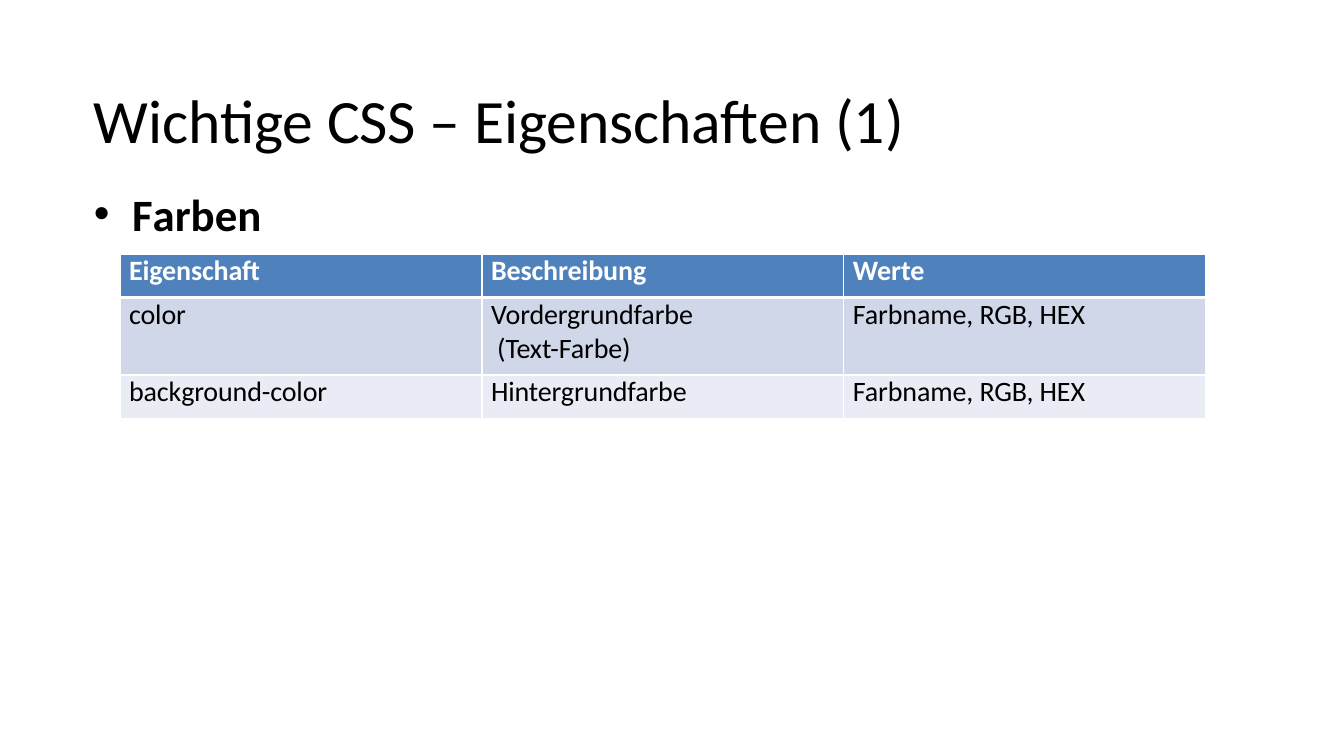
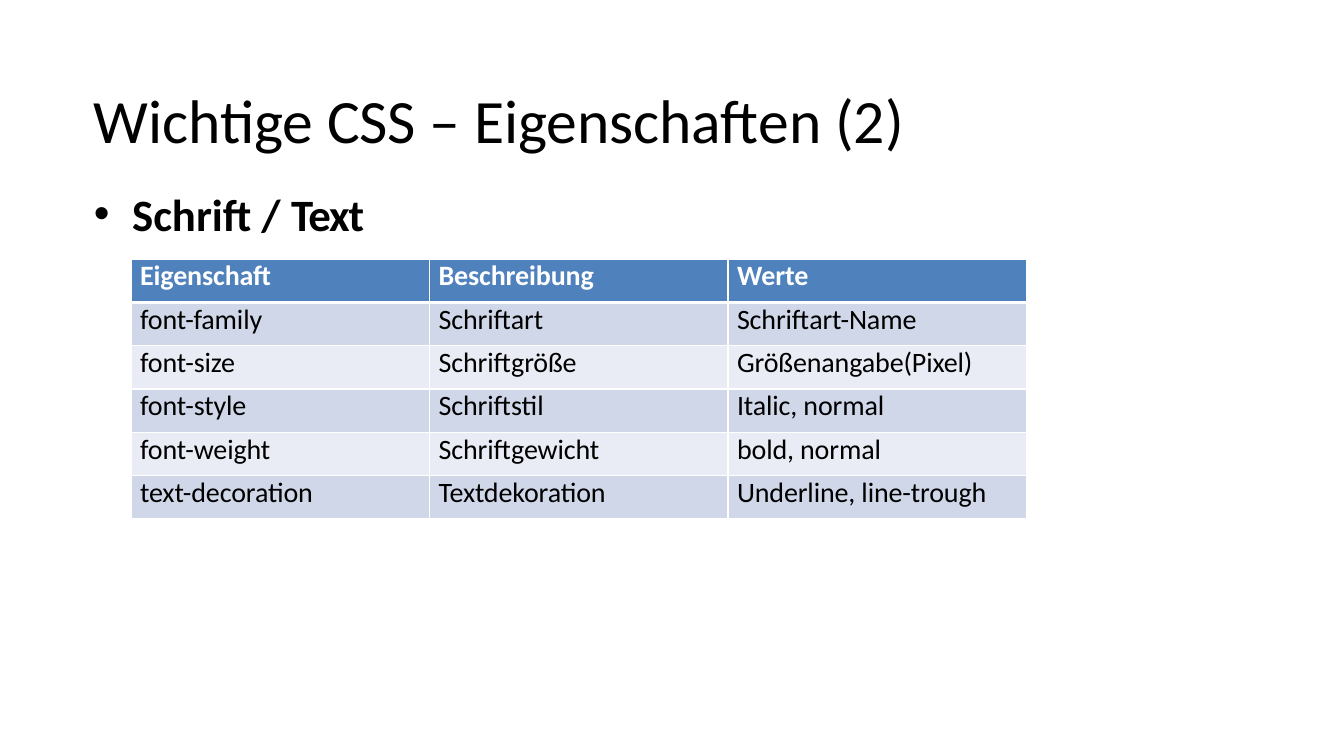
from dataclasses import dataclass

from lxml.etree import SubElement
from pptx import Presentation
from pptx.dml.color import RGBColor
from pptx.enum.text import MSO_ANCHOR as Anchor
from pptx.oxml.ns import qn
from pptx.util import Inches, Pt

# Shared look
FONT = "Calibri"
BLACK = RGBColor(0x00, 0x00, 0x00)
WHITE = RGBColor(0xFF, 0xFF, 0xFF)
BLUE = RGBColor(0x4F, 0x81, 0xBC)
BANDS = (RGBColor(0xD0, 0xD7, 0xE8), RGBColor(0xE9, 0xEC, 0xF4))
LEFT = 0.92
ROW = 0.43
LINE = 0.34
HEADER = ("Eigenschaft", "Beschreibung", "Werte")


@dataclass
class Page:
    title: str
    head: tuple[tuple[str, float], ...]  # text and letter spacing in points
    width: float
    left: float
    top: float
    col: float
    rows: list[tuple[str, str, str]]


PAGES = [
    Page("Wichtige CSS – Eigenschaften (1)", (("F", -0.8), ("arben", 0)),
         1.68, 1.19, 2.52, 3.59, [
        ("color", "Vordergrundfarbe\v (Text-Farbe)", "Farbname, RGB, HEX"),
        ("background-color", "Hintergrundfarbe", "Farbname, RGB, HEX"),
    ]),
    Page("Wichtige CSS – Eigenschaften (2)", (("Schrift / ", 0), ("Text", -0.8)),
         2.75, 1.3, 2.57, 2.96, [
        ("font-family", "Schriftart", "Schriftart-Name"),
        ("font-size", "Schriftgröße", "Größenangabe(Pixel)"),
        ("font-style", "Schriftstil", "Italic, normal"),
        ("font-weight", "Schriftgewicht", "bold, normal"),
        ("text-decoration", "Textdekoration", "Underline, line-trough"),
    ]),
]


def style(run, size: float, color: RGBColor, bold: bool = False,
          space: float = -0.1) -> None:
    font = run.font
    font.name, font.size, font.bold = FONT, Pt(size), bold
    font.color.rgb = color
    run._r.get_or_add_rPr().set("spc", str(round(space * 100)))


def indent(para, left: float, first: float = 0) -> None:
    props = para._p.get_or_add_pPr()
    props.set("marL", str(Inches(left)))
    props.set("indent", str(Inches(first)))


def add_box(slide, top: float, width: float, height: float):
    box = slide.shapes.add_textbox(Inches(LEFT), Inches(top),
                                   Inches(width), Inches(height))
    frame = box.text_frame
    frame.word_wrap = True
    frame.margin_left = frame.margin_right = 0
    frame.margin_top = frame.margin_bottom = 0
    return frame


def add_title(slide, text: str) -> None:
    frame = add_box(slide, 0.5, 11.5, 1.35)
    frame.vertical_anchor = Anchor.MIDDLE
    frame.text = text
    indent(frame.paragraphs[0], 0.01)
    style(frame.paragraphs[0].runs[0], 44, BLACK)


def add_head(slide, page: Page) -> None:
    para = add_box(slide, 1.85, page.width, 0.57).paragraphs[0]
    indent(para, 0.39, -0.38)
    props = para._p.get_or_add_pPr()
    SubElement(props, qn("a:buFont"), typeface="Arial")
    SubElement(props, qn("a:buChar"), char="•")
    for text, space in page.head:
        run = para.add_run()
        run.text = text
        style(run, 32, BLACK, True, space)


def add_edges(cell, row: int) -> None:
    # The rule between header and body is thicker than the others
    thick = {(0, "B"), (1, "T")}
    props = cell._tc.get_or_add_tcPr()
    for side in "LRTB":
        width = Pt(3 if (row, side) in thick else 1)
        edge = SubElement(props, qn(f"a:ln{side}"), w=str(width))
        fill = SubElement(edge, qn("a:solidFill"))
        SubElement(fill, qn("a:srgbClr"), val=str(WHITE))


def fill_cell(cell, text: str, row: int) -> None:
    cell.margin_left = cell.margin_right = 0
    cell.margin_top = cell.margin_bottom = 0
    add_edges(cell, row)
    cell.fill.solid()
    cell.fill.fore_color.rgb = BANDS[(row - 1) % 2] if row else BLUE
    cell.text = text
    para = cell.text_frame.paragraphs[0]
    para.space_before = Pt(0.8 if row == 1 else 1.9)
    indent(para, 0.09)
    for run in para.runs:
        style(run, 20, BLACK if row else WHITE, not row)


def add_grid(slide, page: Page) -> None:
    rows = [HEADER, *page.rows]
    highs = [ROW + LINE * max(text.count("\v") for text in row) for row in rows]
    count = len(HEADER)
    table = slide.shapes.add_table(
        len(rows), count, Inches(page.left), Inches(page.top),
        Inches(page.col * count), Inches(sum(highs))).table
    table.horz_banding = False
    for col in table.columns:
        col.width = Inches(page.col)
    for r, texts in enumerate(rows):
        table.rows[r].height = Inches(highs[r])
        for c, text in enumerate(texts):
            fill_cell(table.cell(r, c), text, r)


def main() -> None:
    deck = Presentation()
    deck.slide_width, deck.slide_height = Inches(13.33), Inches(7.5)
    for page in PAGES:
        slide = deck.slides.add_slide(deck.slide_layouts[6])
        add_title(slide, page.title)
        add_head(slide, page)
        add_grid(slide, page)
    deck.save("out.pptx")


if __name__ == "__main__":
    main()
